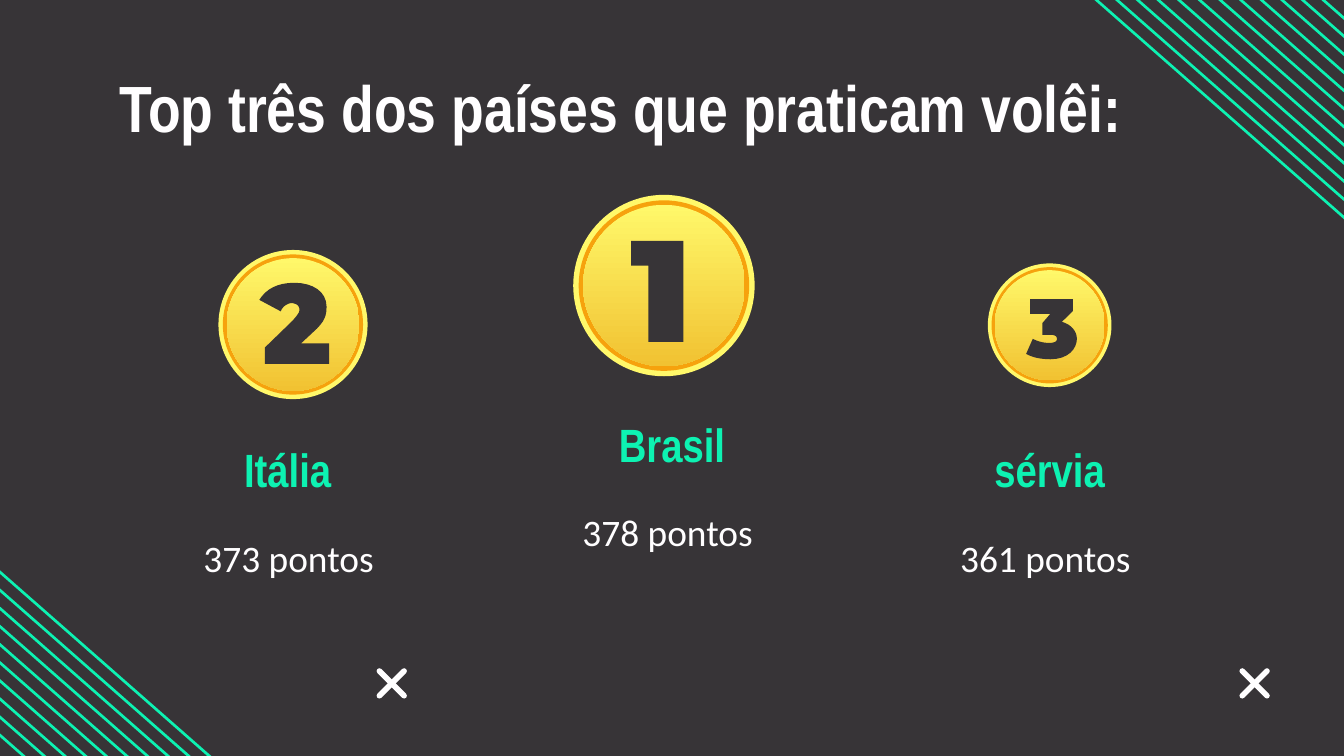
from lxml.etree import SubElement
from pptx import Presentation
from pptx.dml.color import RGBColor
from pptx.enum.shapes import MSO_CONNECTOR, MSO_SHAPE
from pptx.enum.text import MSO_ANCHOR, PP_ALIGN
from pptx.oxml.ns import qn
from pptx.util import Inches, Pt

DARK = RGBColor(0x37, 0x34, 0x37)
GREEN = RGBColor(0x0D, 0xF2, 0xB2)
WHITE = RGBColor(0xFF, 0xFE, 0xFF)
LEMON = RGBColor(0xFF, 0xF8, 0x6A)
AMBER = RGBColor(0xF6, 0xA2, 0x0D)
GOLD = RGBColor(0xF1, 0xC2, 0x32)
WIDE, HIGH = 10, 5.625

# Digit outlines in hundredths of their box: pairs are corners, sixes are curves
DIGITS = {
    1: [(60.7, 25.4), (60.7, 81), (41.5, 81), (41.5, 39), (32, 39), (32, 25.4)],
    2: [(72, 61.5), (72, 74), (33, 74), (33, 64), (50, 47.5),
        (53, 44, 54, 42.6, 54, 41), (54, 38.5, 52, 37, 49, 37),
        (47, 37, 43.5, 39, 42.6, 42), (29.5, 35),
        (33.6, 28.7, 40, 24.6, 51, 24.6), (62, 24.6, 70.5, 30, 70.5, 39),
        (70.5, 44, 70, 48, 62, 55), (55, 61.5)],
    3: [(70, 60), (70, 67, 64, 75, 50.5, 75), (44.6, 75, 37.6, 74, 32.7, 71),
        (37.6, 60), (41.6, 62, 45.5, 63, 49.5, 63),
        (53.5, 63, 55.4, 62, 55.4, 60), (55.4, 58, 53.5, 57, 50.5, 57),
        (44.6, 57), (44.6, 48.5), (50.5, 41.6), (35.6, 41.6), (35.6, 30.7),
        (67, 30.7), (67, 39.6), (59, 47.5), (66, 49.5, 70, 54.5, 70, 60)],
}


def paint(shape, color):
    shape.shadow.inherit = False
    shape.line.fill.background()
    shape.fill.solid()
    shape.fill.fore_color.rgb = color


def outline(slide, dots, color):
    dots = [(Inches(x), Inches(y)) for x, y in dots]
    pen = slide.shapes.build_freeform(*dots[0])
    pen.add_line_segments(dots[1:], close=True)
    paint(pen.convert_to_shape(), color)


def label(slide, box, text, size, font, color, bold=True, align=PP_ALIGN.CENTER):
    frame = slide.shapes.add_textbox(*map(Inches, box)).text_frame
    frame.word_wrap = True
    frame.vertical_anchor = MSO_ANCHOR.MIDDLE
    frame.margin_left = frame.margin_right = Inches(0.1)
    frame.margin_top = frame.margin_bottom = Inches(0.1)
    para = frame.paragraphs[0]
    para.text, para.alignment = text, align
    para.font.name, para.font.size = font, Pt(size)
    para.font.bold, para.font.color.rgb = bold, color


def stripes(slide, left, top, side, count):
    """Slanted bands from left, top that step towards a corner."""
    wide, high = 3.49, 3.07
    dx, dy = 0.067 * side, 0.076 * side
    band = ((0, 0.015), (0.013, 0), (wide, high - 0.015), (wide - 0.013, high))
    for i in range(count):
        outline(slide, [(left - i * dx + x, top + i * dy + y) for x, y in band],
                GREEN)


def cross(slide, x, y, size):
    near, far = 0.1 * size, 0.9 * size
    for top, end in ((near, far), (far, near)):
        bar = slide.shapes.add_connector(MSO_CONNECTOR.STRAIGHT, *map(
            Inches, (x + near, y + top, x + far, y + end)))
        bar.line.color.rgb = WHITE
        bar.line.width = Pt(3)
        bar.line._get_or_add_ln().set("cap", "rnd")
        SubElement(bar._element.spPr, qn("a:effectLst"))


def trace(steps):
    """Turn corners and curves into a list of points."""
    dots = []
    for step in steps:
        if len(step) == 2:
            dots.append(step)
            continue
        (ax, ay), (bx, by, cx, cy, dx, dy) = dots[-1], step
        for i in range(1, 9):
            t = i / 8
            u = 1 - t
            a, b, c, d = u**3, 3 * u * u * t, 3 * u * t * t, t**3
            dots.append((a * ax + b * bx + c * cx + d * dx,
                         a * ay + b * by + c * cy + d * dy))
    return dots


def coin(slide, mid, top, size, digit, zoom):
    # Rim, ring and face
    for share, color in ((1, LEMON), (0.94, AMBER), (0.89, GOLD)):
        wide = size * share
        disc = slide.shapes.add_shape(MSO_SHAPE.OVAL, *map(Inches, (
            mid - wide / 2, top + (size - wide) / 2, wide, wide)))
        paint(disc, color)
    disc.fill.gradient()
    disc.fill.gradient_angle = 270
    for stop, tone in zip(disc.fill.gradient_stops, (LEMON, GOLD)):
        stop.color.rgb = tone
    # Digit, in a box that shares the centre of the coin
    unit = size * zoom / 100
    outline(slide, [(mid + (x - 50) * unit, top + size / 2 + (y - 50) * unit)
                    for x, y in trace(DIGITS[digit])], DARK)


def place(slide, left, top, name, score):
    label(slide, (left, top, 2.56, 0.58), name, 25, "Arial Narrow", GREEN)
    label(slide, (left, top + 0.47, 2.56, 0.95), score, 20, "Calibri", WHITE, False)


def main():
    deck = Presentation()
    deck.slide_width, deck.slide_height = Inches(WIDE), Inches(HIGH)
    slide = deck.slides.add_slide(deck.slide_layouts[6])

    # Backdrop, corners and crosses
    paint(slide.shapes.add_shape(
        MSO_SHAPE.RECTANGLE, 0, 0, deck.slide_width, deck.slide_height), DARK)
    stripes(slide, -0.78, 3.57, 1, 10)
    stripes(slide, 7.34, -0.72, -1, 12)
    for x in (9.22, 2.8):
        cross(slide, x, 4.97, 0.23)

    # Heading
    label(slide, (0.79, 0.48, 8.43, 0.63), "Top três dos países que praticam volêi:",
          35, "Arial Narrow", WHITE, align=PP_ALIGN.LEFT)

    # Podium: digit, zoom, coin middle, top and size, text corner, name, score
    ranks = (
        (2, 1.1, 2.18, 1.86, 1.11, 0.9, 3.2, "Itália ", "373 pontos "),
        (1, 1, 4.94, 1.45, 1.35, 3.72, 3.01, "Brasil", "378 pontos "),
        (3, 1.1, 7.81, 1.96, 0.92, 6.53, 3.2, "sérvia", "361 pontos "),
    )
    for digit, zoom, mid, top, size, left, row, name, score in ranks:
        coin(slide, mid, top, size, digit, zoom)
        place(slide, left, row, name, score)

    deck.save("out.pptx")


if __name__ == "__main__":
    main()
